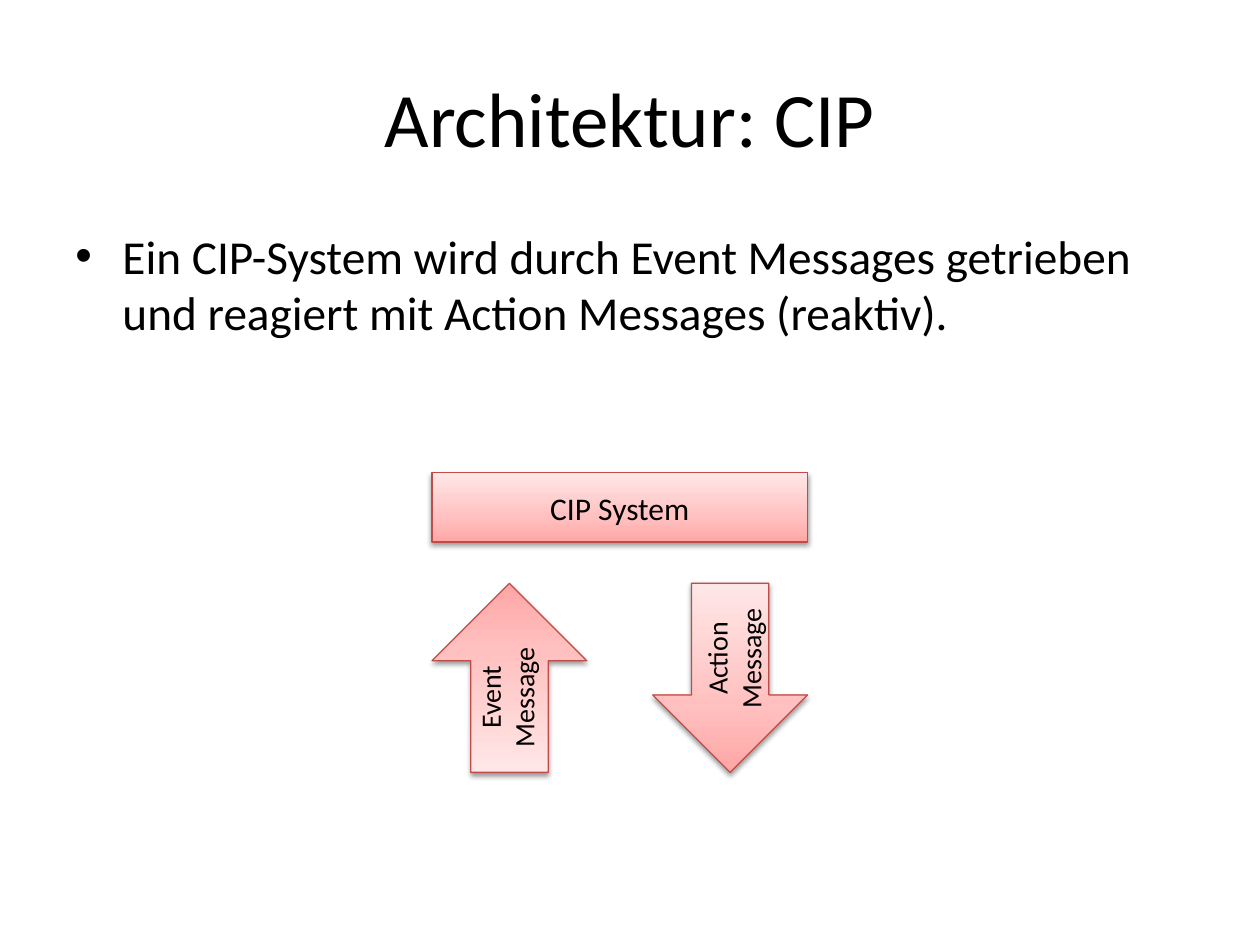
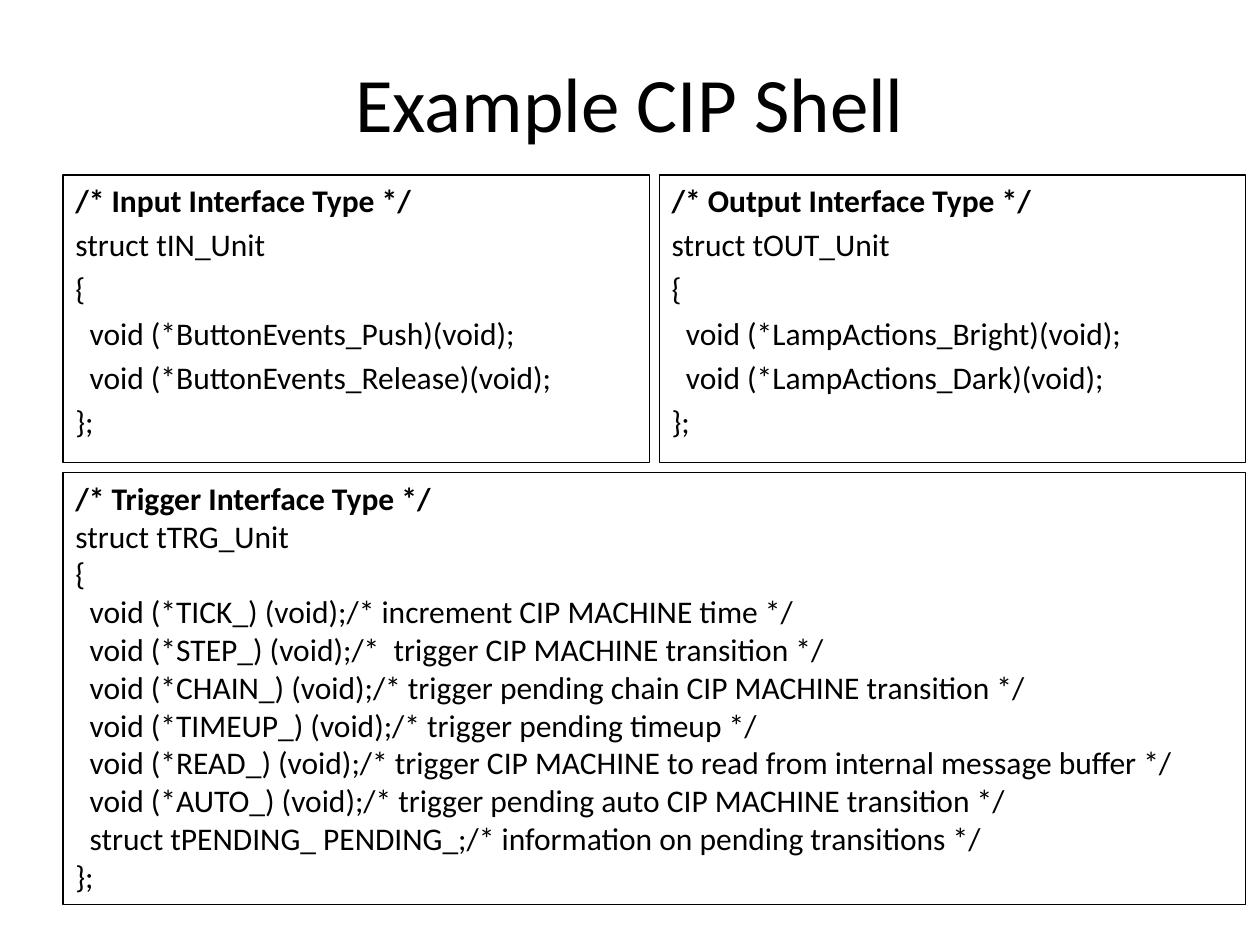
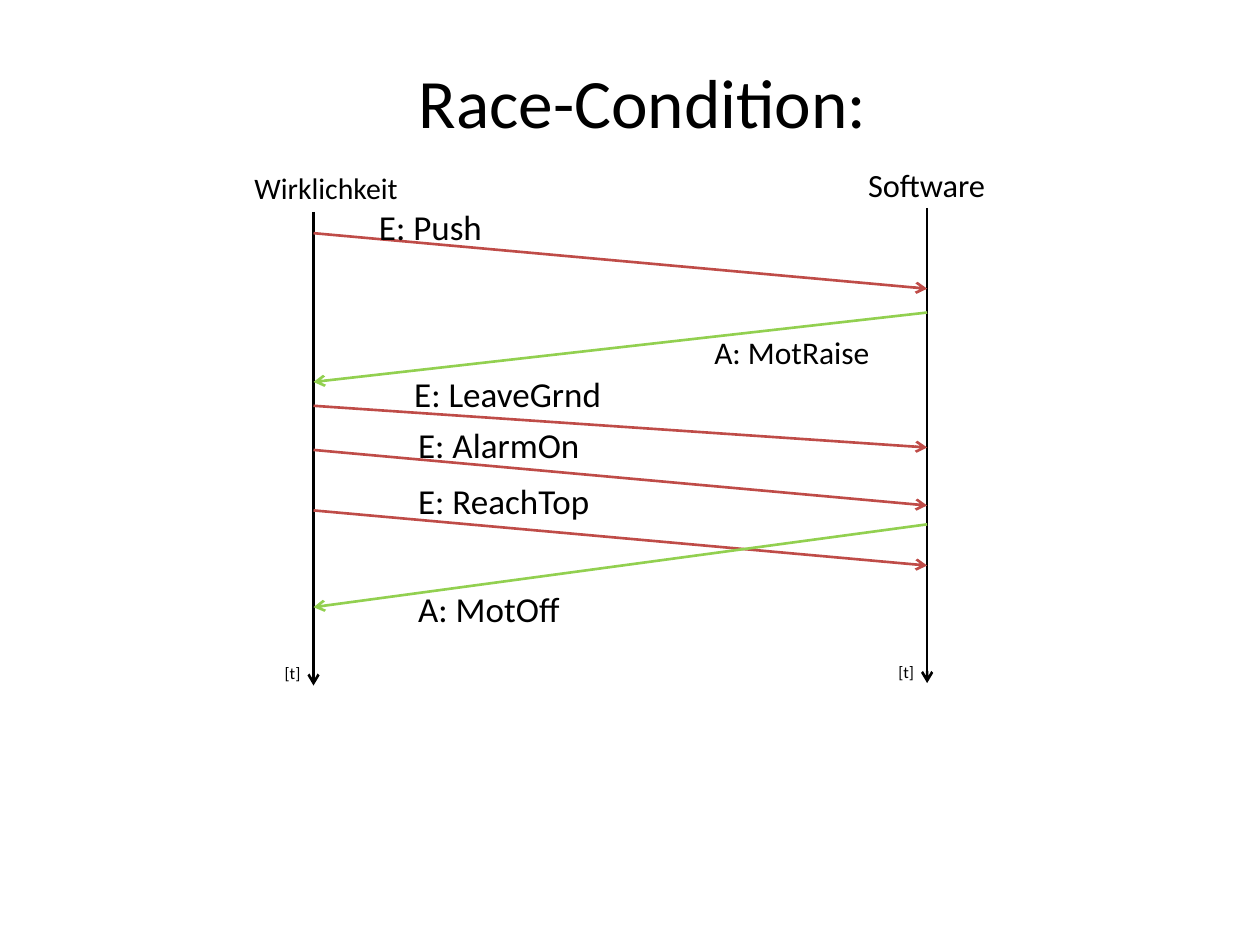
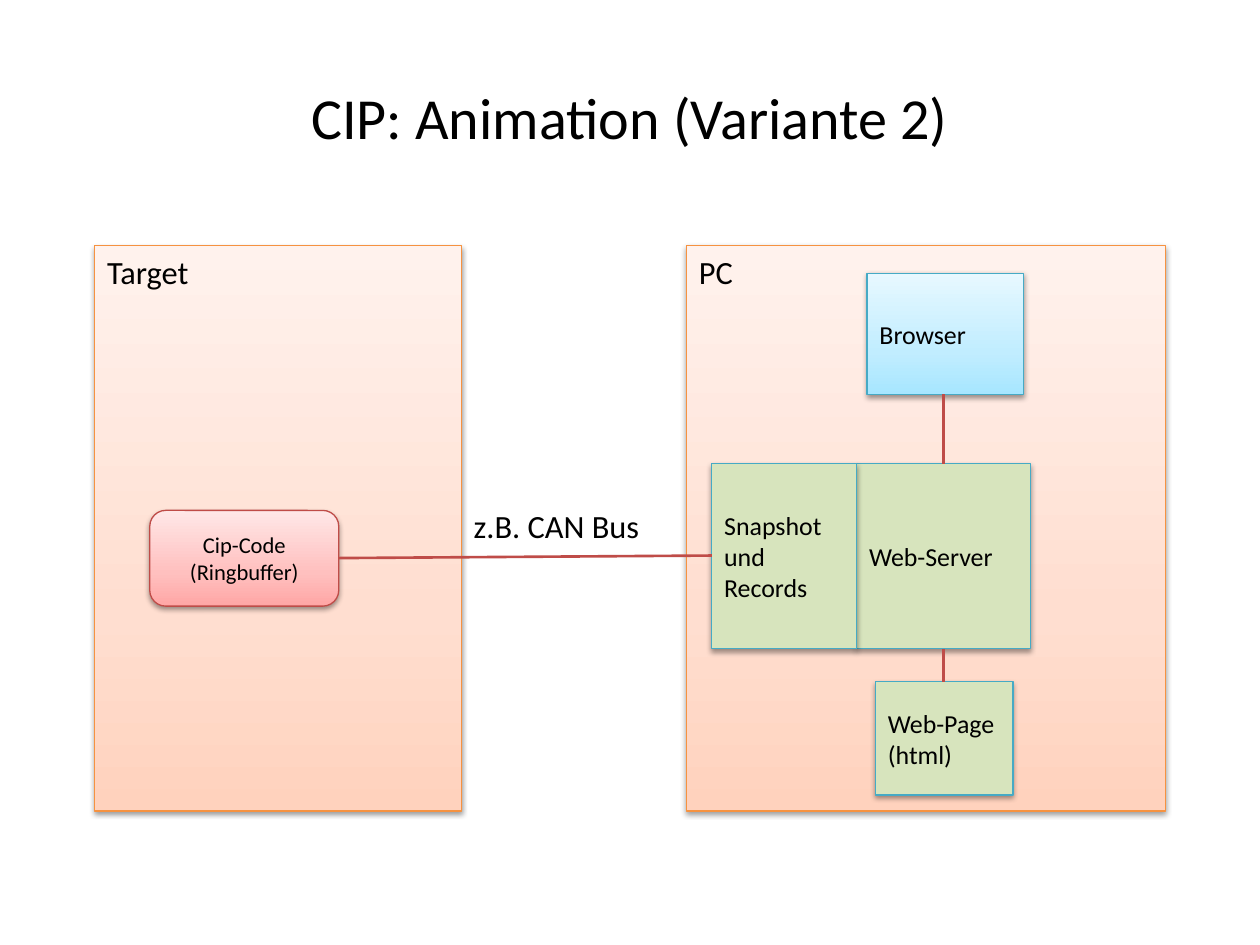
from copy import deepcopy
from dataclasses import dataclass
from typing import NamedTuple

from lxml import etree
from pptx import Presentation
from pptx import util as u
from pptx.dml.color import RGBColor
from pptx.enum import shapes as es
from pptx.enum import text as et
from pptx.oxml.ns import qn


# ---- Theme and element descriptions (lengths in cm, type sizes in points) ----
@dataclass(frozen=True)
class Theme:
    font: str = "Calibri"
    ink: str = "000000"
    red: str = "BF4C48"
    green: str = "92D050"
    orange: str = "F69240"
    blue: str = "46AAC5"
    pale_green: str = "D7E4BD"
    red_blend: tuple = ("FFA6A5", "FFC0BF", "FFE7E7")
    orange_blend: tuple = ("FFD2BD", "FFDED0", "FFF2ED")
    blue_blend: tuple = ("A7E6FF", "C1EDFF", "E7F8FF")
    blend_stops: tuple = (0, 0.35, 1)
    title: float = 44
    race_title: float = 39.6
    animation_title: float = 33.2
    body: float = 27
    event: float = 20
    label: float = 18.5
    code: float = 18
    reality: float = 17
    arrow: float = 16
    component: float = 14.8
    ring_buffer: float = 12.9
    time: float = 9.5
    thin: float = 0.75
    thick: float = 1.5


THEME = Theme()
SHAPE = es.MSO_SHAPE
ALIGN = et.PP_ALIGN
ANCHOR = et.MSO_ANCHOR


class Box(NamedTuple):
    left: float
    top: float
    width: float
    height: float

    @property
    def right(self) -> float:
        return self.left + self.width

    @property
    def bottom(self) -> float:
        return self.top + self.height

    @property
    def middle(self) -> float:
        return self.left + self.width / 2

    def lengths(self) -> list:
        return [u.Cm(value) for value in self]


@dataclass(frozen=True)
class Block:
    """A filled, shadowed part of a diagram; fill is a colour or a blend."""
    box: Box
    fill: str | tuple
    line: str
    text: str = ""
    size: float = THEME.component
    kind: es.MSO_SHAPE = SHAPE.RECTANGLE
    align: et.PP_ALIGN = ALIGN.LEFT
    rotation: int = 0
    vert: str = "horz"


@dataclass(frozen=True)
class Lifeline:
    name: str
    x: float
    name_top: float
    name_height: float
    size: float
    start: float
    end: float
    time_top: float


@dataclass(frozen=True)
class Message:
    """An event runs to the software, an action runs back."""
    text: str
    sent: float
    received: float
    box: Box
    is_event: bool = True
    size: float = THEME.event
    inset: float = 1.52


TITLE_BOX = Box(1.27, 0.76, 22.86, 3.18)


# ---- Drawing functions ----
def rgb(value: str) -> RGBColor:
    return RGBColor.from_string(value)


def write(frame, text: str, *, size: float, align=ALIGN.LEFT, anchor=ANCHOR.TOP,
          inset: float = 0.25, gap: float = 0, bold_first: bool = False,
          bullet: str = "") -> None:
    frame.word_wrap = True
    frame.auto_size = et.MSO_AUTO_SIZE.NONE
    frame.vertical_anchor = anchor
    frame.margin_left = u.Cm(inset)
    for index, line in enumerate(text.split("\n")):
        paragraph = frame.paragraphs[0] if index == 0 else frame.add_paragraph()
        if bullet:
            props = paragraph._p.get_or_add_pPr()
            props.set("marL", str(u.Cm(0.95)))
            props.set("indent", str(-u.Cm(0.95)))
            etree.SubElement(props, qn("a:buFont"), typeface="Arial")
            etree.SubElement(props, qn("a:buChar"), char=bullet)
        paragraph.alignment = align
        if index and gap:
            paragraph.space_before = u.Pt(gap)
        run = paragraph.add_run()
        run.text = line
        run.font.name = THEME.font
        run.font.size = u.Pt(size)
        run.font.bold = bold_first and index == 0
        run.font.color.rgb = rgb(THEME.ink)


def add_slide(prs, title: str, size: float = THEME.title, box: Box = TITLE_BOX,
              anchor=ANCHOR.MIDDLE):
    slide = prs.slides.add_slide(prs.slide_layouts[5])
    heading = slide.shapes.title
    heading.left, heading.top, heading.width, heading.height = box.lengths()
    write(heading.text_frame, title, size=size, align=ALIGN.CENTER, anchor=anchor)
    return slide


def add_text(slide, box: Box, text: str, **text_format):
    label = slide.shapes.add_textbox(*box.lengths())
    write(label.text_frame, text, **text_format)
    return label


def add_code(slide, box: Box, text: str, gap: float = 0) -> None:
    listing = add_text(slide, box, text, size=THEME.code, gap=gap, bold_first=True)
    listing.line.color.rgb = rgb(THEME.ink)
    listing.line.width = u.Pt(THEME.thin)


def fill_blend(shape, colours: tuple) -> None:
    shape.fill.gradient()
    shape.fill.gradient_angle = 90
    stops = shape._element.spPr.find(".//" + qn("a:gsLst"))
    stops.insert(1, deepcopy(stops[0]))
    for stop, position, colour in zip(shape.fill.gradient_stops, THEME.blend_stops, colours):
        stop.position = position
        stop.color.rgb = rgb(colour)


def add_shadow(shape) -> None:
    shape.shadow.inherit = False
    effects = shape._element.spPr.find(qn("a:effectLst"))
    shadow = etree.SubElement(effects, qn("a:outerShdw"), blurRad=str(u.Pt(3.1)),
                              dist=str(u.Pt(1.6)), dir="5400000", rotWithShape="0")
    colour = etree.SubElement(shadow, qn("a:srgbClr"), val=THEME.ink)
    etree.SubElement(colour, qn("a:alpha"), val="38000")


def add_block(slide, block: Block) -> None:
    shape = slide.shapes.add_shape(block.kind, *block.box.lengths())
    shape.rotation = block.rotation
    if isinstance(block.fill, tuple):
        fill_blend(shape, block.fill)
    else:
        shape.fill.solid()
        shape.fill.fore_color.rgb = rgb(block.fill)
    shape.line.color.rgb = rgb(block.line)
    shape.line.width = u.Pt(THEME.thin)
    add_shadow(shape)
    if block.text:
        write(shape.text_frame, block.text, size=block.size, align=block.align,
              anchor=ANCHOR.MIDDLE)
        shape.text_frame._txBody.bodyPr.set("vert", block.vert)


def add_line(slide, start: tuple, end: tuple, colour: str, arrow: bool = False) -> None:
    line = slide.shapes.add_connector(es.MSO_CONNECTOR.STRAIGHT,
                                      *(u.Cm(value) for value in (*start, *end)))
    line.line.color.rgb = rgb(colour)
    line.line.width = u.Pt(THEME.thick)
    if arrow:
        etree.SubElement(line.line._get_or_add_ln(), qn("a:tailEnd"), type="arrow")
    etree.SubElement(line._element.spPr, qn("a:effectLst"))


# ---- Slide 1: architecture ----
def build_architecture(prs) -> None:
    slide = add_slide(prs, "Architektur: CIP")
    add_text(slide, Box(1.27, 4.45, 22.86, 12.57),
             "Ein CIP-System wird durch Event Messages getrieben und reagiert "
             "mit Action Messages (reaktiv).", size=THEME.body, bullet="•")
    system = Box(8.71, 9.53, 7.57, 1.4)
    add_block(slide, Block(system, THEME.red_blend, THEME.red, "CIP System",
                           THEME.code, align=ALIGN.CENTER))
    width = 3.12
    for text, left, rotation, vert in (
            ("Event\nMessage", system.left, 180, "vert"),
            ("Action\nMessage", system.right - width, 0, "vert270")):
        add_block(slide, Block(Box(left, 11.76, width, 3.81), THEME.red_blend, THEME.red,
                               text, THEME.arrow, SHAPE.DOWN_ARROW, ALIGN.CENTER,
                               rotation, vert))


# ---- Slide 2: code of the shell ----
INPUT_CODE = """/* Input Interface Type */
struct tIN_Unit
{
  void (*ButtonEvents_Push)(void);
  void (*ButtonEvents_Release)(void);
};"""

OUTPUT_CODE = """/* Output Interface Type */
struct tOUT_Unit
{
  void (*LampActions_Bright)(void);
  void (*LampActions_Dark)(void);
};"""

TRIGGER_CODE = """/* Trigger Interface Type */
struct tTRG_Unit
{
  void (*TICK_) (void);/* increment CIP MACHINE time */
  void (*STEP_) (void);/*  trigger CIP MACHINE transition */
  void (*CHAIN_) (void);/* trigger pending chain CIP MACHINE transition */
  void (*TIMEUP_) (void);/* trigger pending timeup */
  void (*READ_) (void);/* trigger CIP MACHINE to read from internal message buffer */
  void (*AUTO_) (void);/* trigger pending auto CIP MACHINE transition */
  struct tPENDING_ PENDING_;/* information on pending transitions */
};"""


def build_shell(prs) -> None:
    slide = add_slide(prs, "Example CIP Shell", box=TITLE_BOX._replace(height=2.57))
    trigger = Box(1.27, 9.53, 23.84, 8.71)
    gutter = 0.2
    half = (trigger.width - gutter) / 2
    for column, code in enumerate((INPUT_CODE, OUTPUT_CODE)):
        left = trigger.left + column * (half + gutter)
        add_code(slide, Box(left, 3.53, half, 5.79), code, gap=3.6)
    add_code(slide, trigger, TRIGGER_CODE)


# ---- Slide 3: race condition ----
REALITY = Lifeline("Wirklichkeit", 6.32, 3.3, 1.4, THEME.reality, 4.27, 13.82, 13.23)
SOFTWARE = Lifeline("Software", 18.69, 3.2, 0.99, THEME.label, 4.19, 13.77, 13.21)

MESSAGES = (
    Message("E: Push", 4.7, 5.82, Box(6.12, 4.01, 5, 1.12)),
    Message("A: MotRaise", 6.3, 7.7, Box(14.15, 6.58, 3.66, 1.02), False, THEME.code, 0.25),
    Message("E: LeaveGrnd", 8.18, 9.02, Box(6.83, 7.39, 5.69, 1.12)),
    Message("E: AlarmOn", 9.07, 10.19, Box(6.91, 8.41, 5.69, 1.12)),
    Message("E: ReachTop", 10.29, 11.4, Box(6.91, 9.55, 5.69, 1.12)),
    Message("A: MotOff", 10.57, 12.24, Box(6.91, 11.71, 5, 1.12), False),
)


def build_race(prs) -> None:
    slide = add_slide(prs, "Race-Condition:", THEME.race_title,
                      Box(1.7, 1.19, 22.86, 3.18), ANCHOR.TOP)
    heading = slide.shapes.title.text_frame
    heading.margin_top = 0
    heading.margin_right = u.Cm(0.6)
    for lifeline in (REALITY, SOFTWARE):
        x = lifeline.x
        add_line(slide, (x, lifeline.start), (x, lifeline.end), THEME.ink, arrow=True)
        add_text(slide, Box(x - 2.71, lifeline.name_top, 5, lifeline.name_height),
                 lifeline.name, size=lifeline.size, inset=1.52)
        add_text(slide, Box(x - 2.1, lifeline.time_top, 2.13, 0.71), "[t]",
                 size=THEME.time, inset=1.52)
    for message in MESSAGES:
        ends = (REALITY.x, SOFTWARE.x) if message.is_event else (SOFTWARE.x, REALITY.x)
        add_line(slide, (ends[0], message.sent), (ends[1], message.received),
                 THEME.red if message.is_event else THEME.green, arrow=True)
        add_text(slide, message.box, message.text, size=message.size, inset=message.inset)


# ---- Slide 4: animation ----
def build_animation(prs) -> None:
    slide = add_slide(prs, "CIP: Animation (Variante 2)", THEME.animation_title)
    target = Box(1.91, 4.95, 7.39, 11.4)
    pc = Box(13.84, 4.95, 9.65, 11.4)
    for name, machine, width in (("Target", target, 2.51), ("PC", pc, 1.65)):
        add_block(slide, Block(machine, THEME.orange_blend, THEME.orange))
        add_text(slide, machine._replace(width=width, height=1.22), name, size=THEME.label)

    browser = Box(17.48, 5.51, 3.15, 2.44)
    server = Box(17.27, 9.35, 3.51, 3.73)
    snapshot = Box(14.35, 9.35, 2.92, 3.73)
    page = Box(17.65, 13.74, 2.77, 2.29)
    ring_buffer = Box(3.02, 10.29, 3.81, 1.93)
    for block in (
            Block(browser, THEME.blue_blend, THEME.blue, "Browser"),
            Block(server, THEME.pale_green, THEME.blue, "Web-Server"),
            Block(snapshot, THEME.pale_green, THEME.blue, "Snapshot und Records"),
            Block(page, THEME.pale_green, THEME.blue, "Web-Page (html)"),
            Block(ring_buffer, THEME.red_blend, THEME.red, "Cip-Code\n(Ringbuffer)",
                  THEME.ring_buffer, SHAPE.ROUNDED_RECTANGLE, ALIGN.CENTER)):
        add_block(slide, block)

    # Links between the parts
    for upper, lower in ((browser, server), (server, page)):
        add_line(slide, (server.middle, upper.bottom), (server.middle, lower.top), THEME.red)
    add_line(slide, (snapshot.left, 11.2), (ring_buffer.right, 11.25), THEME.red)
    add_text(slide, Box(target.right, 10.08, pc.left - target.right, 0.97),
             "z.B. CAN Bus", size=THEME.label)


def main() -> None:
    prs = Presentation()
    prs.slide_width, prs.slide_height = u.Cm(25.4), u.Cm(19.05)
    for build in (build_architecture, build_shell, build_race, build_animation):
        build(prs)
    prs.save("out.pptx")


if __name__ == "__main__":
    main()
